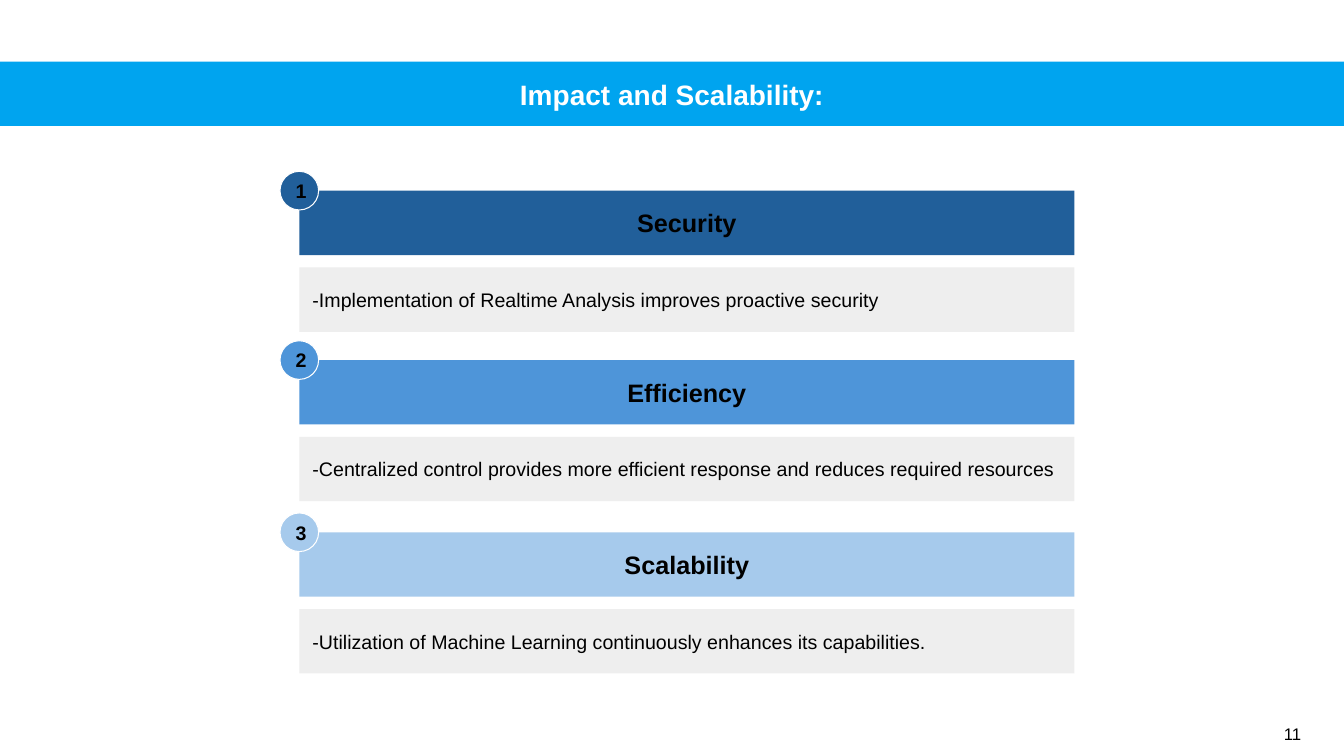
from pptx import Presentation
from pptx.dml.color import RGBColor
from pptx.enum.shapes import MSO_SHAPE
from pptx.enum.text import MSO_ANCHOR, MSO_AUTO_SIZE, PP_ALIGN
from pptx.util import Pt

RECTANGLE, OVAL = MSO_SHAPE.RECTANGLE, MSO_SHAPE.OVAL
MIDDLE, TOP = MSO_ANCHOR.MIDDLE, MSO_ANCHOR.TOP
LEFT, CENTER = PP_ALIGN.LEFT, PP_ALIGN.CENTER
NO_AUTOFIT = MSO_AUTO_SIZE.NONE

BLACK = RGBColor(0x00, 0x00, 0x00)
WHITE = RGBColor(0xFF, 0xFF, 0xFF)
SKY = RGBColor(0x00, 0xA4, 0xEF)
GRAY = RGBColor(0xEE, 0xEE, 0xEE)
DARK_BLUE = RGBColor(0x21, 0x5F, 0x9A)
MID_BLUE = RGBColor(0x4E, 0x95, 0xD9)
LIGHT_BLUE = RGBColor(0xA6, 0xCA, 0xEC)

# Lengths in points
SLIDE_W, SLIDE_H = 960, 540
BAR_LEFT, BAR_W, BAR_H = 213.8, 553.6, 46
DETAIL_DROP = 54.8
BADGE_SIZE = 27.6
BAR_INSET = 9.4

TITLE_FONT = {"name": "Arial", "size": Pt(20), "bold": True}
HEADING_FONT = {"name": "Arial", "size": Pt(18), "bold": True}
BADGE_FONT = {"name": "Arial", "size": Pt(14), "bold": True}
DETAIL_FONT = {"name": "Arial", "size": Pt(14), "bold": False}
NUMBER_FONT = {"name": "Arial", "size": Pt(12), "bold": False}

# Header top, colour, heading, detail
IMPACTS = [
    (136.2, DARK_BLUE, "Security",
     "-Implementation of Realtime Analysis improves proactive security"),
    (257.2, MID_BLUE, "Efficiency",
     "-Centralized control provides more efficient response "
     "and reduces required resources"),
    (380.2, LIGHT_BLUE, "Scalability",
     "-Utilization of Machine Learning continuously enhances its capabilities."),
]


def set_attributes(target, values):
    for name, value in values.items():
        setattr(target, name, value)


def write(holder, text, font, color=BLACK, align=CENTER, anchor=MIDDLE, inset=None):
    frame = holder.text_frame
    frame.text = text
    set_attributes(frame, {"word_wrap": True, "auto_size": NO_AUTOFIT,
                           "vertical_anchor": anchor})
    if inset is not None:
        sides = ("margin_left", "margin_top", "margin_right", "margin_bottom")
        set_attributes(frame, dict.fromkeys(sides, Pt(inset)))
    paragraph = frame.paragraphs[0]
    paragraph.alignment = align
    set_attributes(paragraph.font, font)
    paragraph.font.color.rgb = color


def fill_with(shape, color):
    shape.fill.solid()
    shape.fill.fore_color.rgb = color


def add_bar(shapes, top, color, text, font, align):
    bar = shapes.add_shape(RECTANGLE, Pt(BAR_LEFT), Pt(top), Pt(BAR_W), Pt(BAR_H))
    bar.shadow.inherit = False
    fill_with(bar, color)
    bar.line.fill.background()
    write(bar, text, font, align=align, inset=BAR_INSET)


def add_badge(shapes, header_top, color, number):
    # Centred on the top left corner of the header
    half = BADGE_SIZE / 2
    badge = shapes.add_shape(OVAL, Pt(BAR_LEFT - half), Pt(header_top - half),
                             Pt(BADGE_SIZE), Pt(BADGE_SIZE))
    badge.shadow.inherit = False
    fill_with(badge, color)
    badge.line.color.rgb = WHITE
    badge.line.width = Pt(0.75)
    write(badge, str(number), BADGE_FONT)


def add_impact(slide, number, top, color, heading, detail):
    add_bar(slide.shapes, top + DETAIL_DROP, GRAY, detail, DETAIL_FONT, LEFT)
    header = slide.shapes.add_group_shape()
    add_bar(header.shapes, top, color, heading, HEADING_FONT, CENTER)
    add_badge(header.shapes, top, color, number)


def add_title(slide, text):
    title = slide.shapes.title
    set_attributes(title, {"left": Pt(0), "top": Pt(44),
                           "width": Pt(SLIDE_W), "height": Pt(BAR_H)})
    fill_with(title, SKY)
    write(title, text, TITLE_FONT, color=WHITE, inset=BAR_INSET)


def add_page_number(slide, number):
    page = slide.shapes.add_textbox(Pt(910), Pt(513.4), Pt(30.2), Pt(27))
    write(page, str(number), NUMBER_FONT, align=LEFT, anchor=TOP)


def main():
    deck = Presentation()
    deck.slide_width, deck.slide_height = Pt(SLIDE_W), Pt(SLIDE_H)
    slide = deck.slides.add_slide(deck.slide_layouts.get_by_name("Title Only"))

    # Title band
    add_title(slide, "Impact and Scalability:")

    # Numbered impacts
    for number, impact in enumerate(IMPACTS, start=1):
        add_impact(slide, number, *impact)

    # Page number
    add_page_number(slide, 11)

    deck.save("out.pptx")


if __name__ == "__main__":
    main()
